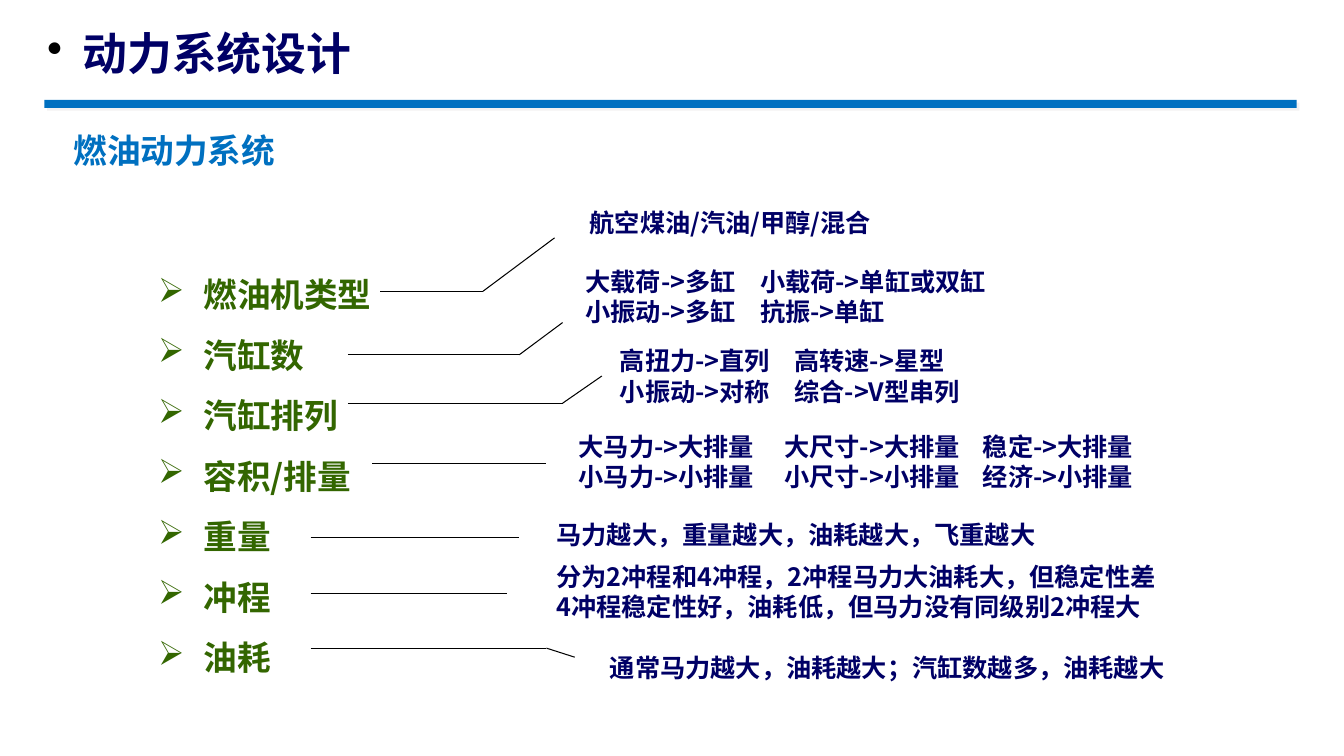
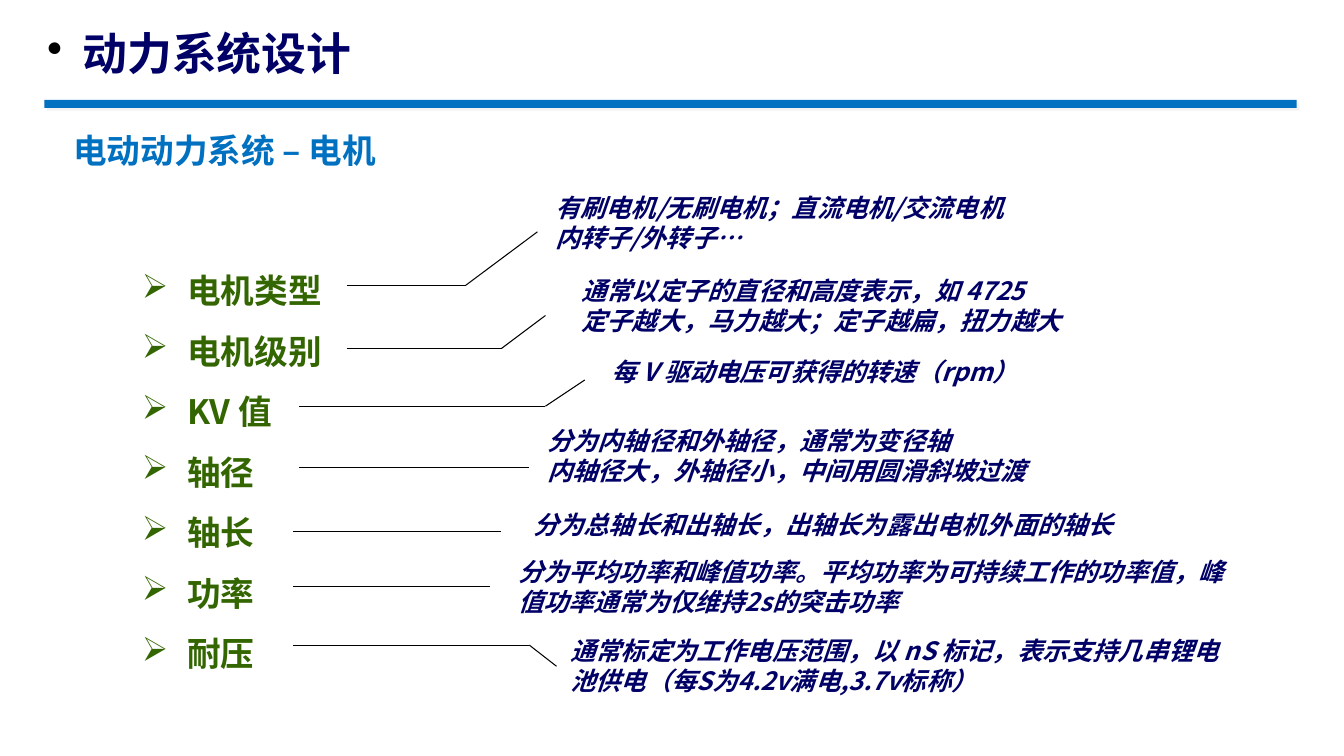
from itertools import pairwise

from lxml import etree
from pptx import Presentation
from pptx.dml.color import RGBColor
from pptx.enum import shapes, text
from pptx.oxml import ns
from pptx.util import Inches, Pt

FONT = "Noto Sans CJK SC"
COLORS = {
    "band": "0070C0", "band_shadow": "E7E6E6", "navy": "000066",
    "green": "336600", "black": "000000",
}
TITLE = "动力系统设计"

# Each row: label, leader points, note position (left, top, width), note lines.
# Columns inside a note line are parted by tabs, set at the stops that follow.
SLIDES = [
    {
        "subtitle": "燃油动力系统", "subtitle_width": 3.12,
        "labels_at": (1.47, 2.47), "italic": False,
        "rows": [
            ("燃油机类型", [(3.77, 2.89), (4.79, 2.89), (5.5, 2.36)],
             (5.75, 2.01, 5.8), ["航空煤油/汽油/甲醇/混合"], ()),
            ("汽缸数", [(3.45, 3.52), (5.15, 3.52), (5.58, 3.2)],
             (5.71, 2.59, 5.44),
             ["大载荷->多缸\t小载荷->单缸或双缸", "小振动->多缸\t抗振->单缸"], (1.73,)),
            ("汽缸排列", [(3.45, 4), (5.58, 4), (5.97, 3.73)],
             (6.05, 3.38, 6.39),
             ["高扭力->直列\t高转速->星型", "小振动->对称\t综合->V型串列"], (1.73,)),
            ("容积/排量", [(3.69, 4.6), (5.42, 4.6)],
             (5.64, 4.23, 7.22),
             ["大马力->大排量\t大尺寸->大排量\t稳定->大排量",
              "小马力->小排量\t小尺寸->小排量\t经济->小排量"], (2.04, 4.01)),
            ("重量", [(3.08, 5.33), (5.15, 5.33)],
             (5.42, 5.1, 6.39), ["马力越大，重量越大，油耗越大，飞重越大"], ()),
            ("冲程", [(3.08, 5.89), (5.03, 5.89)],
             (5.42, 5.52, 7.58),
             ["分为2冲程和4冲程，2冲程马力大油耗大，但稳定性差",
              "4冲程稳定性好，油耗低，但马力没有同级别2冲程大"], ()),
            ("油耗", [(3.08, 6.43), (5.42, 6.43), (5.7, 6.52)],
             (5.95, 6.42, 6.93), ["通常马力越大，油耗越大；汽缸数越多，油耗越大"], ()),
        ],
    },
    {
        "subtitle": "电动动力系统 – 电机", "subtitle_width": 4.06,
        "labels_at": (1.31, 2.43), "italic": True,
        "rows": [
            ("电机类型", [(3.44, 2.83), (4.62, 2.83), (5.33, 2.3)],
             (5.41, 1.86, 5.66),
             ["有刷电机/无刷电机；直流电机/交流电机", "内转子/外转子…"], ()),
            ("电机级别", [(3.44, 3.46), (4.97, 3.46), (5.41, 3.13)],
             (5.67, 2.68, 5.83),
             ["通常以定子的直径和高度表示，如 4725",
              "定子越大，马力越大；定子越扁，扭力越大"], ()),
            ("KV 值", [(2.97, 4.03), (5.41, 4.03), (5.8, 3.77)],
             (5.97, 3.49, 6.23), ["每 V 驱动电压可获得的转速（rpm）"], ()),
            ("轴径", [(2.97, 4.64), (5.25, 4.64)],
             (5.33, 4.17, 7.04),
             ["分为内轴径和外轴径，通常为变径轴",
              "内轴径大，外轴径小，中间用圆滑斜坡过渡"], ()),
            ("轴长", [(2.91, 5.27), (4.97, 5.27)],
             (5.19, 5, 7.27), ["分为总轴长和出轴长，出轴长为露出电机外面的轴长"], ()),
            ("功率", [(2.91, 5.82), (4.86, 5.82)],
             (5.04, 5.47, 7.39),
             ["分为平均功率和峰值功率。平均功率为可持续工作的功率值，"
              "峰值功率通常为仅维持2s的突击功率"], ()),
            ("耐压", [(2.91, 6.4), (5.25, 6.4), (5.52, 6.61)],
             (5.56, 6.25, 6.76),
             ["通常标定为工作电压范围，以 nS 标记，表示支持几串锂电池供电"
              "（每S为4.2v满电,3.7v标称）"], ()),
        ],
    },
]


def add_xml(parent, tag, **attributes):
    return etree.SubElement(parent, ns.qn(tag), attributes)


def add_text(page, lines, left, top, width, height, size, color, italic=False,
             spacing=None, before=None, bullet=None, bullet_color=None,
             indent=0, stops=()):
    box = page.shapes.add_textbox(*map(Inches, (left, top, width, height)))
    frame = box.text_frame
    frame.word_wrap = True
    frame.auto_size = text.MSO_AUTO_SIZE.NONE
    for number, line in enumerate(lines):
        para = frame.add_paragraph() if number else frame.paragraphs[0]
        para.line_spacing = spacing
        para.space_before = before
        span = para.add_run()
        span.text = line
        font = span.font
        font.name, font.size, font.bold = FONT, Pt(size), True
        font.italic = italic
        font.color.rgb = RGBColor.from_string(COLORS[color])
        add_xml(font._element, "a:ea", typeface=FONT)

        # Bullets and tab stops
        props = para._p.get_or_add_pPr()
        if bullet:
            props.set("marL", str(Inches(indent)))
            props.set("indent", str(-Inches(indent)))
            paint = add_xml(props, "a:buClr")
            add_xml(paint, "a:srgbClr", val=COLORS[bullet_color or color])
            add_xml(props, "a:buChar", char=bullet)
        if stops:
            tabs = add_xml(props, "a:tabLst")
            for stop in stops:
                add_xml(tabs, "a:tab", pos=str(Inches(stop)), algn="l")


def add_leader(page, points):
    for start, end in pairwise(points):
        line = page.shapes.add_connector(
            shapes.MSO_CONNECTOR.STRAIGHT, *map(Inches, start + end))
        line.line.color.rgb = RGBColor.from_string(COLORS["black"])
        line.line.width = Pt(0.75)
        add_xml(line._element.spPr, "a:effectLst")


def add_band(page):
    band = page.shapes.add_shape(
        shapes.MSO_SHAPE.RECTANGLE, *map(Inches, (0.44, 0.99, 12.42, 0.08)))
    band.fill.solid()
    band.fill.fore_color.rgb = RGBColor.from_string(COLORS["band"])
    band.line.fill.background()
    effects = add_xml(band._element.spPr, "a:effectLst")
    shadow = add_xml(effects, "a:outerShdw", dist=str(Pt(2.8)), dir="2700000")
    tint = add_xml(shadow, "a:srgbClr", val=COLORS["band_shadow"])
    add_xml(tint, "a:alpha", val="50000")


def add_page(deck, content):
    page = deck.slides.add_slide(deck.slide_layouts[6])

    # Shared heading
    add_band(page)
    add_text(page, [TITLE], 0.37, 0.27, 5.83, 0.79, size=32, color="navy",
             spacing=0.9, before=Pt(10), bullet="•", bullet_color="black",
             indent=0.35)
    add_text(page, [content["subtitle"]], 0.63, 1.24, content["subtitle_width"],
             0.5, size=24, color="band")

    # Labels, leaders and notes
    labels = [row[0] for row in content["rows"]]
    add_text(page, labels, *content["labels_at"], 3.19, 4.25, size=24,
             color="green", spacing=1.5, bullet="➢", indent=0.45)
    for _, points, (left, top, width), lines, stops in content["rows"]:
        add_leader(page, points)
        wraps = max(map(len, lines)) > 40
        height = 0.71 if wraps or len(lines) > 1 else 0.4
        add_text(page, lines, left, top, width, height, size=18, color="navy",
                 italic=content["italic"], stops=stops)


def main():
    deck = Presentation()
    deck.slide_width, deck.slide_height = Inches(13.33), Inches(7.5)
    for content in SLIDES:
        add_page(deck, content)
    deck.save("out.pptx")


if __name__ == "__main__":
    main()
